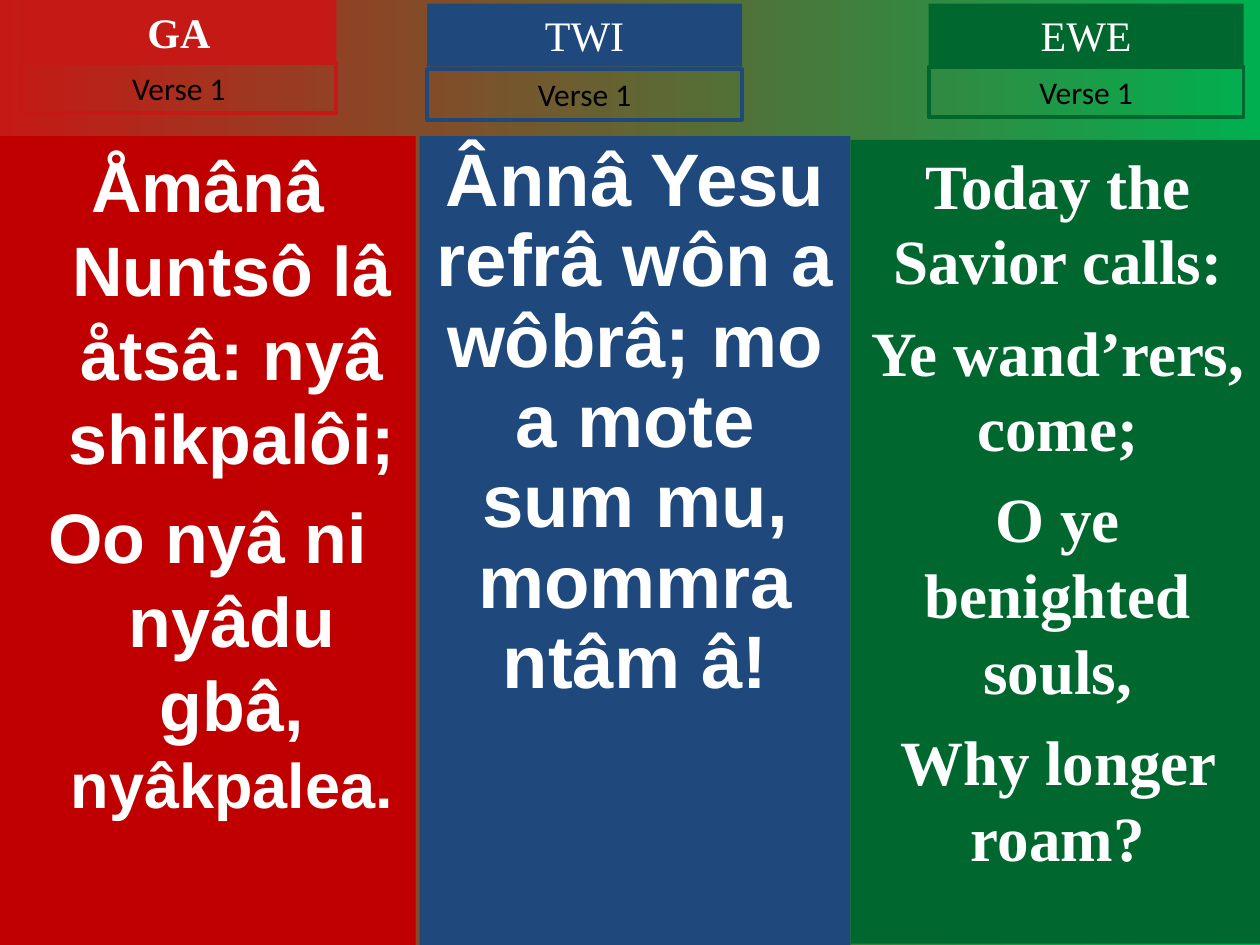
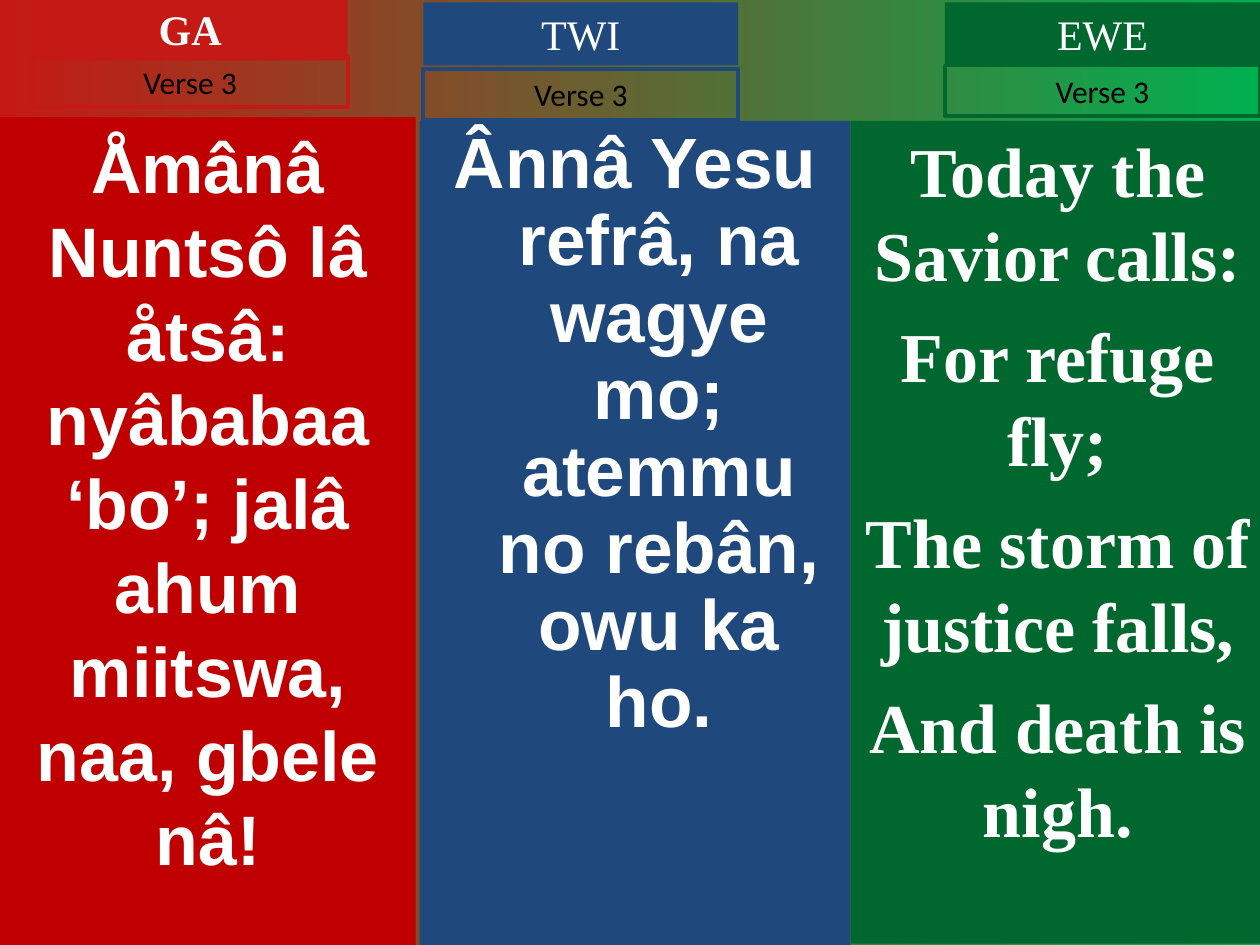
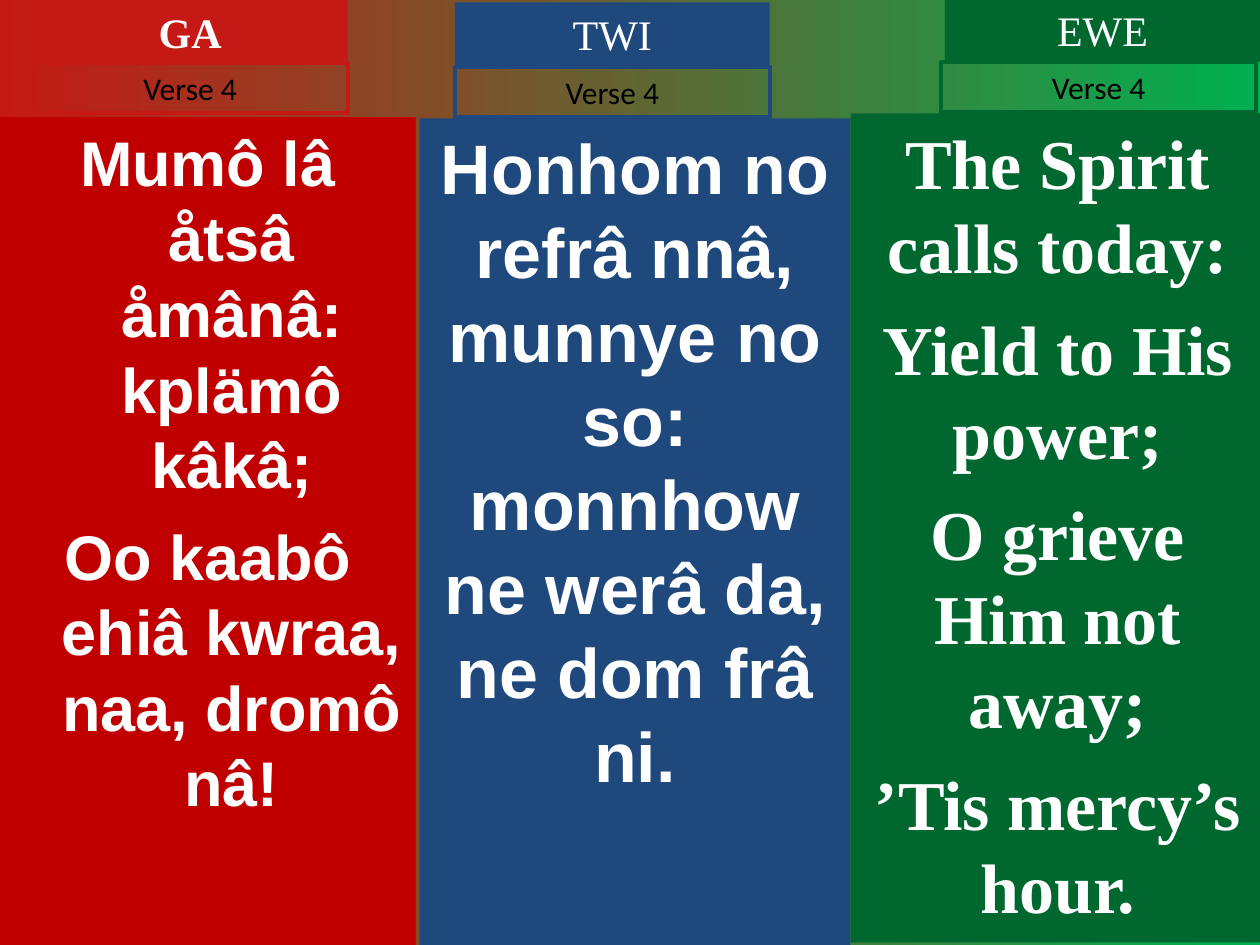
"""Build three hymn slides with Ga, Twi and Ewe verses side by side."""
from dataclasses import dataclass

from pptx import Presentation
from pptx.dml.color import RGBColor
from pptx.enum.shapes import MSO_SHAPE
from pptx.enum.text import MSO_ANCHOR, MSO_AUTO_SIZE, PP_ALIGN
from pptx.util import Pt

RECT = MSO_SHAPE.RECTANGLE
TOP = MSO_ANCHOR.TOP
CENTER = PP_ALIGN.CENTER
GROW = MSO_AUTO_SIZE.SHAPE_TO_FIT_TEXT
FIXED = MSO_AUTO_SIZE.NONE

PX = 9144
SLIDE_W, SLIDE_H = 1000, 750
LABEL_W, HEADING_H, VERSE_H = 250, 50, 40
INSET_X, INSET_Y = 10, 5
HANG = 38
BLANK_LAYOUT = 6

RED = RGBColor(0xC5, 0x19, 0x15)
DARK_RED = RGBColor(0xC0, 0x00, 0x00)
BLUE = RGBColor(0x1F, 0x49, 0x7D)
GREEN = RGBColor(0x00, 0x68, 0x2F)
BRIGHT_GREEN = RGBColor(0x00, 0xB0, 0x50)
WHITE = RGBColor(0xFF, 0xFF, 0xFF)
BLACK = RGBColor(0x00, 0x00, 0x00)

SANS, SERIF, LABEL = "Arial", "Times New Roman", "Calibri"


@dataclass(frozen=True)
class Language:
    name: str
    left: int
    width: int
    panel: RGBColor
    accent: RGBColor
    font: str
    bold_heading: bool = False


@dataclass(frozen=True)
class Passage:
    label_left: int
    heading_top: int
    verse_top: int
    panel_top: int
    panel_bottom: int
    lines: tuple[str, ...]
    size: float = 40
    gap: int = 10
    spacing: float = 1.0
    hang: int = 0
    tail: str = ""
    tail_size: int = 36
    verse_left: int | None = None


LANGUAGES = (
    Language("GA", 0, 330, DARK_RED, RED, SANS, bold_heading=True),
    Language("TWI", 333, 342, BLUE, BLUE, SANS),
    Language("EWE", 675, 329, GREEN, GREEN, SERIF),
)

VERSES = {
    "Verse 1": (
        Passage(17, 0, 50, 108, 750,
                ("Åmânâ Nuntsô lâ åtsâ: nyâ shikpalôi;", "Oo nyâ ni nyâdu gbâ, "),
                gap=9, hang=HANG, tail="nyâkpalea."),
        Passage(339, 3, 55, 108, 750,
                ("Ânnâ Yesu refrâ wôn a wôbrâ; mo a mote sum mu, mommra ntâm â!",),
                size=42.5, spacing=0.9),
        Passage(737, 3, 53, 111, 749,
                ("Today the Savior calls:", "Ye wand’rers, come;",
                 "O ye benighted souls,", "Why longer roam?"),
                size=36, gap=9),
    ),
    "Verse 3": (
        Passage(26, -2, 45, 93, 750,
                ("Åmânâ Nuntsô lâ åtsâ: nyâbabaa ‘bo’; jalâ ahum miitswa, "
                 "naa, gbele nâ!",)),
        Passage(336, 2, 55, 96, 750,
                ("Ânnâ Yesu refrâ, na wagye mo; atemmu no rebân, owu ka ho.",),
                size=40.7, spacing=0.9, hang=HANG),
        Passage(750, 2, 52, 96, 749,
                ("Today the Savior calls:", "For refuge fly;",
                 "The storm of justice falls,", "And death is nigh.")),
    ),
    "Verse 4": (
        Passage(26, 0, 50, 93, 750,
                ("Mumô lâ åtsâ åmânâ: kplämô kâkâ;",
                 "Oo kaabô ehiâ kwraa, naa, dromô nâ!"),
                size=36, gap=9, hang=HANG),
        Passage(361, 2, 53, 94, 750,
                ("Honhom no refrâ nnâ, munnye no so: monnhow ne werâ da, "
                 "ne dom frâ ni.",)),
        Passage(750, -1, 49, 90, 748,
                ("The Spirit calls today:", "Yield to His power;",
                 "O grieve Him not away;", "’Tis mercy’s hour."),
                verse_left=747),
    ),
}


def add_box(slide, left: int, top: int, width: int, height: int, *,
            fill: RGBColor | None = None, line: RGBColor | None = None,
            auto_size=FIXED):
    """Add a flat rectangle and return its text frame."""
    sp = slide.shapes.add_shape(RECT, left * PX, top * PX, width * PX, height * PX)
    sp.shadow.inherit = False
    if fill is None:
        sp.fill.background()
    else:
        sp.fill.solid()
        sp.fill.fore_color.rgb = fill
    if line is None:
        sp.line.fill.background()
    else:
        sp.line.color.rgb = line
        sp.line.width = Pt(2.25)
    tf = sp.text_frame
    tf.word_wrap = True
    tf.auto_size = auto_size
    tf.vertical_anchor = TOP
    tf.margin_left = tf.margin_right = INSET_X * PX
    tf.margin_top = tf.margin_bottom = INSET_Y * PX
    return tf


def add_run(p, text: str, *, size: float, font: str, color: RGBColor = WHITE,
            bold: bool = False) -> None:
    """Append a formatted run to a centred paragraph."""
    p.alignment = CENTER
    r = p.add_run()
    r.text = text
    r.font.size = Pt(size)
    r.font.name = font
    r.font.color.rgb = color
    r.font.bold = bold


def add_panel(slide, lang: Language, passage: Passage) -> None:
    """Draw the coloured panel with the words of one passage."""
    tf = add_box(slide, lang.left, passage.panel_top, lang.width,
                 passage.panel_bottom - passage.panel_top, fill=lang.panel)
    for i, text in enumerate(passage.lines):
        p = tf.add_paragraph() if i else tf.paragraphs[0]
        p.line_spacing = passage.spacing
        if i:
            p.space_before = Pt(passage.gap)
        if passage.hang:
            pPr = p._p.get_or_add_pPr()
            pPr.set("marL", str(passage.hang * PX))
            pPr.set("indent", str(-passage.hang * PX))
        add_run(p, text, size=passage.size, font=lang.font, bold=True)
    if passage.tail:
        add_run(p, passage.tail, size=passage.tail_size, font=lang.font, bold=True)


def add_labels(slide, lang: Language, passage: Passage, verse: str) -> None:
    """Draw the language heading and the outlined verse label."""
    tf = add_box(slide, passage.label_left, passage.heading_top, LABEL_W, HEADING_H,
                 fill=lang.accent, auto_size=GROW)
    add_run(tf.paragraphs[0], lang.name, size=24, font=SERIF, bold=lang.bold_heading)
    left = passage.label_left if passage.verse_left is None else passage.verse_left
    tf = add_box(slide, left, passage.verse_top, LABEL_W, VERSE_H,
                 line=lang.accent, auto_size=GROW)
    add_run(tf.paragraphs[0], verse, size=18, font=LABEL, color=BLACK)


def set_background(slide) -> None:
    """Fill the slide background from red on the left to green on the right."""
    fill = slide.background.fill
    fill.gradient()
    fill.gradient_angle = 0
    for stop, color, position in zip(fill.gradient_stops, (RED, BRIGHT_GREEN), (0, 1)):
        stop.color.rgb = color
        stop.position = position


def main() -> None:
    """Build and save the presentation."""
    prs = Presentation()
    prs.slide_width, prs.slide_height = SLIDE_W * PX, SLIDE_H * PX
    for verse, passages in VERSES.items():
        slide = prs.slides.add_slide(prs.slide_layouts[BLANK_LAYOUT])
        set_background(slide)
        for lang, passage in zip(LANGUAGES, passages):
            add_panel(slide, lang, passage)
            add_labels(slide, lang, passage, verse)
    prs.save("out.pptx")


if __name__ == "__main__":
    main()
